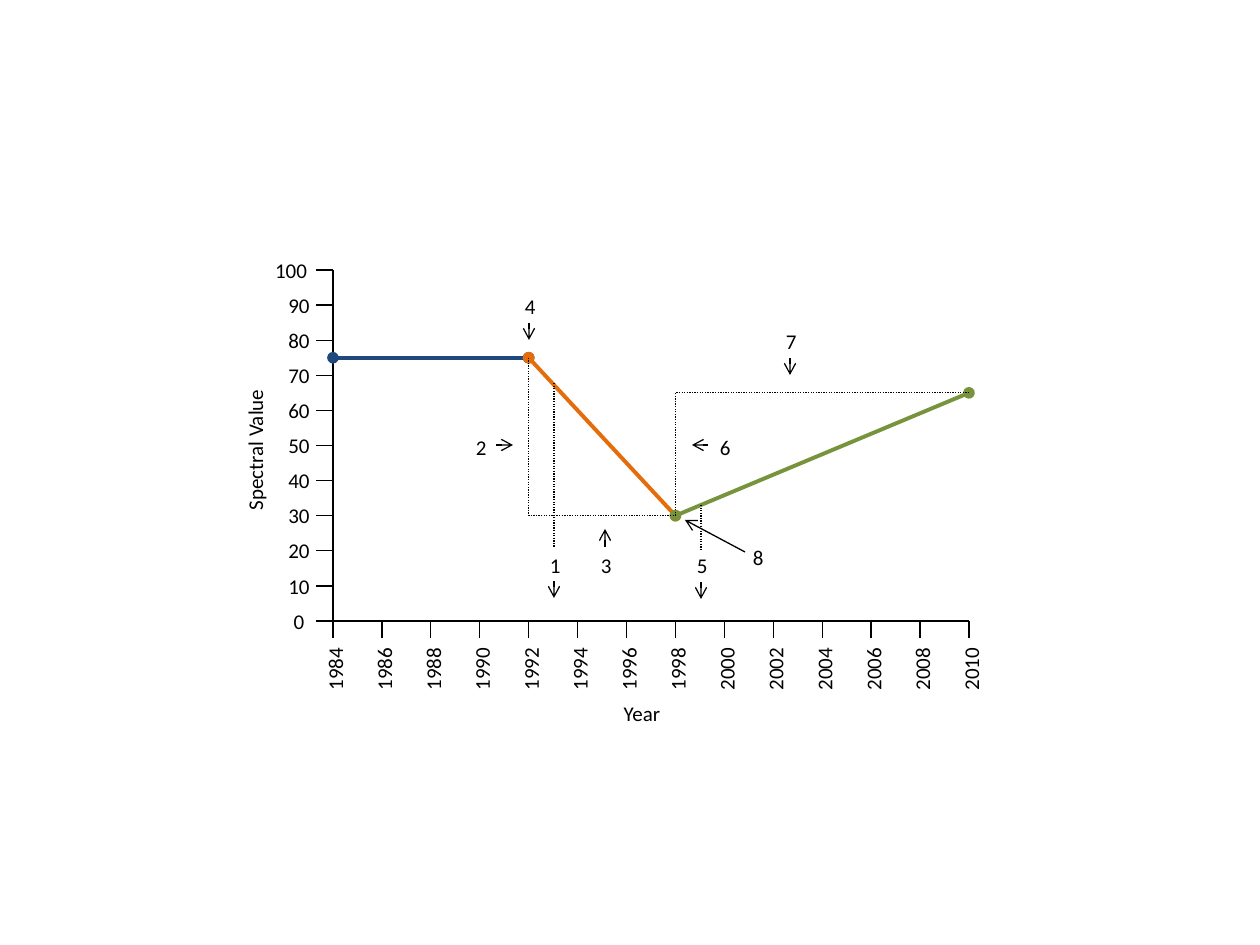
"""Builds a slide with an annotated diagram of spectral value by year."""
from lxml.etree import SubElement
from pptx import Presentation
from pptx.dml.color import RGBColor
from pptx.enum.dml import MSO_LINE
from pptx.enum.shapes import MSO_CONNECTOR
from pptx.enum.text import MSO_ANCHOR, PP_ALIGN
from pptx.oxml.ns import qn
from pptx.util import Emu, Inches, Pt

EMU_PER_PIXEL = 914400 / 126
BLACK = "000000"
LEFT, RIGHT, TOP, BOTTOM = 333, 969, 270, 621
FIRST_YEAR, LAST_YEAR = 1984, 2010
TICK = 17

presentation = Presentation()
presentation.slide_width, presentation.slide_height = Inches(10), Inches(7.5)
slide = presentation.slides.add_slide(presentation.slide_layouts[6])


def add_label(text, center_x, center_y, width=33, height=38, rotation=0, size=12, color=BLACK):
    corner_and_size = (center_x - width / 2, center_y - height / 2, width, height)
    label = slide.shapes.add_textbox(*(Emu(round(n * EMU_PER_PIXEL)) for n in corner_and_size))
    label.rotation = rotation
    frame = label.text_frame
    frame.word_wrap = True
    frame.vertical_anchor = MSO_ANCHOR.TOP
    paragraph = frame.paragraphs[0]
    paragraph.alignment = PP_ALIGN.CENTER
    run = paragraph.add_run()
    run.text = text
    run.font.name, run.font.size = "Calibri", Pt(size)
    run.font.color.rgb = RGBColor.from_string(color)


def add_line(start, end, color=BLACK, weight=0.75, dotted=False, elbow=False, head=None, tail=None):
    kind = MSO_CONNECTOR.ELBOW if elbow else MSO_CONNECTOR.STRAIGHT
    line = slide.shapes.add_connector(kind, *(Emu(round(n * EMU_PER_PIXEL)) for n in (*start, *end)))
    line.line.color.rgb = RGBColor.from_string(color)
    line.line.width = Pt(weight)
    if dotted:
        line.line.dash_style = MSO_LINE.ROUND_DOT
    properties = line.element.spPr
    outline = properties.find(qn("a:ln"))
    for tag, ending in (("a:headEnd", head), ("a:tailEnd", tail)):
        if ending:
            SubElement(outline, qn(tag), type=ending)
    if elbow:
        adjustments = properties.find(qn("a:prstGeom")).find(qn("a:avLst"))
        SubElement(adjustments, qn("a:gd"), name="adj1", fmla="val 0")
    SubElement(properties, qn("a:effectLst"))


year_step = (RIGHT - LEFT) / (LAST_YEAR - FIRST_YEAR)
year_x = {year: LEFT + (year - FIRST_YEAR) * year_step for year in range(FIRST_YEAR, LAST_YEAR + 1)}
value_y = {value: BOTTOM - value * (BOTTOM - TOP) / 100 for value in range(0, 101, 5)}

add_line((LEFT, TOP), (LEFT, BOTTOM))
add_line((RIGHT, BOTTOM), (LEFT, BOTTOM))
for year in range(FIRST_YEAR, LAST_YEAR + 1, 2):
    add_line((year_x[year], BOTTOM), (year_x[year], BOTTOM + TICK))
    add_label(str(year), year_x[year] + 2, 669, width=88, rotation=270)
for value in range(0, 101, 10):
    add_line((LEFT, value_y[value]), (LEFT - TICK, value_y[value]))
    label_width = 70 if value == 100 else 54
    add_label(str(value), 326 - label_width / 2, value_y[value], width=label_width)

stable_start, disturbance, recovery, recovery_end = (
    (year_x[year], value_y[value])
    for year, value in ((1984, 75), (1992, 75), (1998, 30), (2010, 65))
)
segments = [
    (stable_start, disturbance, "1F497D"),
    (disturbance, recovery, "E46C0A"),
    (recovery, recovery_end, "77933C"),
]
for start, end, color in segments:
    add_line(start, end, color=color, weight=2.25, head="oval", tail="oval")

for start, end in ((disturbance, recovery), (recovery, recovery_end)):
    add_line(start, end, dotted=True, elbow=True)
for x, top, bottom in ((554, 383, 548), (701, 505, 551)):
    add_line((x, top), (x, bottom), dotted=True)

callouts = [
    ("1", (554, 565), (554, 581), (554, 598)),
    ("2", (480, 447), (496, 445), (513, 445)),
    ("3", (605, 565), (605, 547), (605, 529)),
    ("4", (529, 306), (529, 323), (529, 340)),
    ("5", (701, 565), (701, 582), (701, 599)),
    ("6", (724, 447), (708, 445), (692, 445)),
    ("7", (790, 341), (790, 358), (790, 375)),
    ("8", (757, 557), (745, 552), (685, 520)),
]
for number, center, arrow_start, arrow_end in callouts:
    add_label(number, *center)
    add_line(arrow_start, arrow_end, tail="arrow")

add_label("Year", 642, 713, width=95)
add_label("Spectral Value", 255, 450, width=202, rotation=270)

presentation.save("out.pptx")
